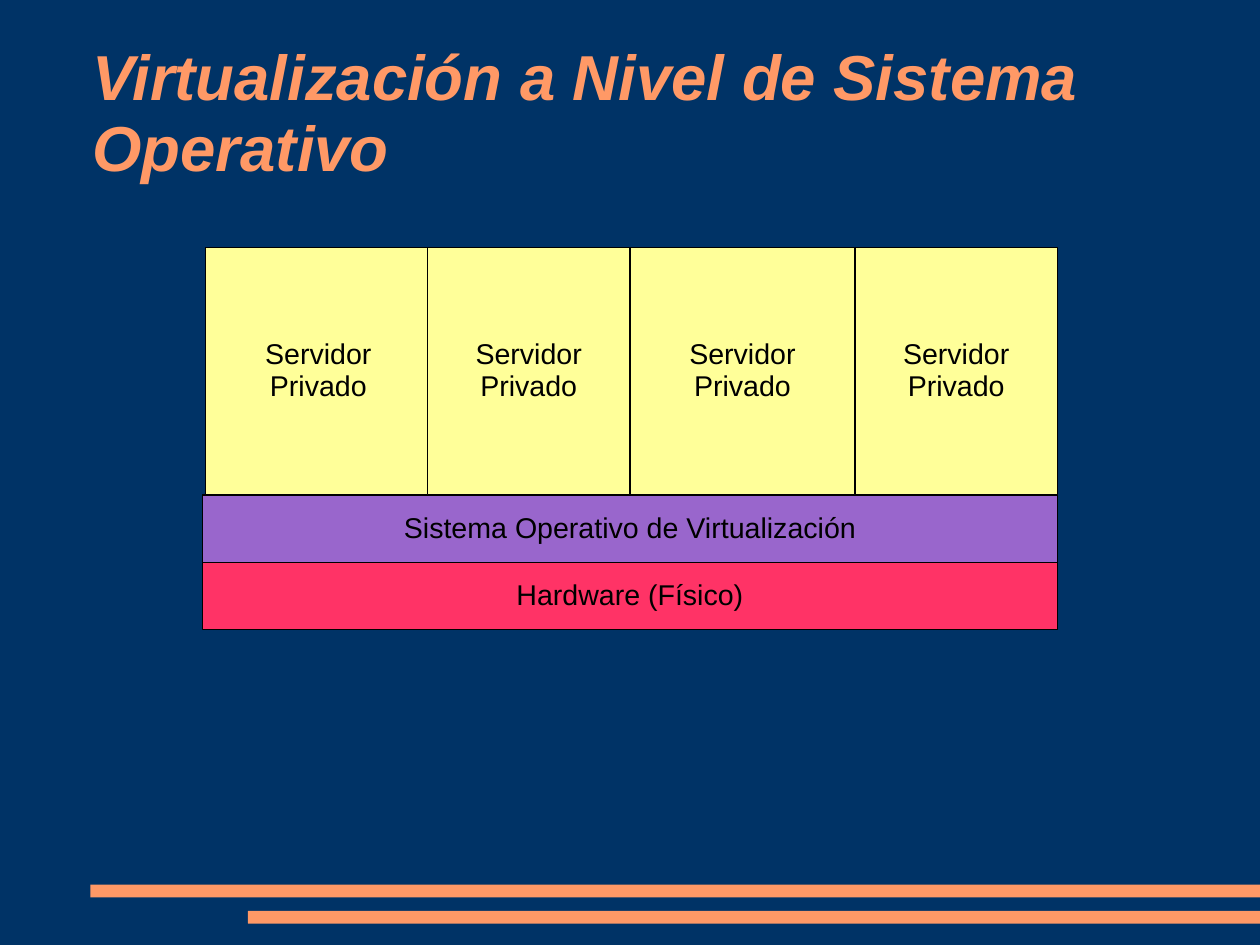
from pptx import Presentation
from pptx.dml.color import RGBColor
from pptx.enum.shapes import MSO_SHAPE
from pptx.enum.text import MSO_ANCHOR, PP_ALIGN
from pptx.util import Inches, Pt

COLORS = {
    "background": "003366",
    "accent": "FF9966",
    "server": "FFFF99",
    "system": "9966CC",
    "hardware": "FF3366",
    "ink": "000000",
}
# The slide measures 28 by 21 cm; the diagram sits on a half-centimetre grid
CELL = 0.5 / 2.54
SLIDE_WIDTH, SLIDE_HEIGHT = 56 * CELL, 42 * CELL
FONT = "Arial"


def color(name):
    return RGBColor.from_string(COLORS[name])


def add_text(frame, lines, size, color_name, alignment, emphasis=False):
    frame.vertical_anchor = MSO_ANCHOR.MIDDLE
    for index, line in enumerate(lines):
        paragraph = frame.add_paragraph() if index else frame.paragraphs[0]
        paragraph.alignment = alignment
        paragraph.line_spacing = 0.93
        run = paragraph.add_run()
        run.text = line
        run.font.name = FONT
        run.font.size = Pt(size)
        run.font.bold = run.font.italic = emphasis
        run.font.color.rgb = color(color_name)


def add_box(slide, kind, left, top, width, height, fill):
    shape = slide.shapes.add_shape(
        kind, Inches(left), Inches(top), Inches(width), Inches(height))
    shape.shadow.inherit = False
    shape.fill.solid()
    shape.fill.fore_color.rgb = color(fill)
    return shape


def add_layer(slide, left, top, width, height, fill, lines):
    shape = add_box(slide, MSO_SHAPE.RECTANGLE, left, top, width, height, fill)
    shape.line.color.rgb = color("ink")
    shape.line.width = Pt(0.75)
    shape.text_frame.word_wrap = False
    add_text(shape.text_frame, lines, 18, "ink", PP_ALIGN.CENTER)


def add_footer_bars(slide, top):
    """Two staggered bars that run to the right edge."""
    for left, offset in ((0.79, 0), (2.17, 0.23)):
        bar = add_box(slide, MSO_SHAPE.ROUNDED_RECTANGLE, left, top + offset,
                      SLIDE_WIDTH - left, 0.11, "accent")
        bar.adjustments[0] = 0.017
        bar.line.fill.background()


def add_title(slide, left, top, width, height, title):
    box = slide.shapes.add_textbox(
        Inches(left), Inches(top), Inches(width), Inches(height))
    frame = box.text_frame
    frame.word_wrap = True
    frame.margin_left = frame.margin_right = 0
    frame.margin_top = frame.margin_bottom = 0
    add_text(frame, [title], 40, "accent", PP_ALIGN.LEFT, emphasis=True)


def add_virtualization_stack(slide, left, top, width):
    server_height, layer_height = 11 * CELL, 3 * CELL
    system_top = top + server_height

    # Shared layers, from the bottom up
    add_layer(slide, left, system_top + layer_height, width, layer_height,
              "hardware", ["Hardware (Físico)"])
    add_layer(slide, left, system_top, width, layer_height,
              "system", ["Sistema Operativo de Virtualización"])

    # Private servers: column and width in grid cells
    for column, cells in ((0.15, 10), (10, 9), (19, 10), (29, 9)):
        add_layer(slide, left + column * CELL, top, cells * CELL,
                  server_height, "server", ["Servidor", "Privado"])


def main():
    presentation = Presentation()
    presentation.slide_width = Inches(SLIDE_WIDTH)
    presentation.slide_height = Inches(SLIDE_HEIGHT)
    slide = presentation.slides.add_slide(presentation.slide_layouts[6])
    slide.background.fill.solid()
    slide.background.fill.fore_color.rgb = color("background")

    add_footer_bars(slide, 7.74)
    add_title(slide, 0.81, 0.36, 9.41, 1.28,
              "Virtualización a Nivel de Sistema Operativo")
    add_virtualization_stack(slide, 9 * CELL, 11 * CELL, 38 * CELL)
    presentation.save("out.pptx")


if __name__ == "__main__":
    main()
